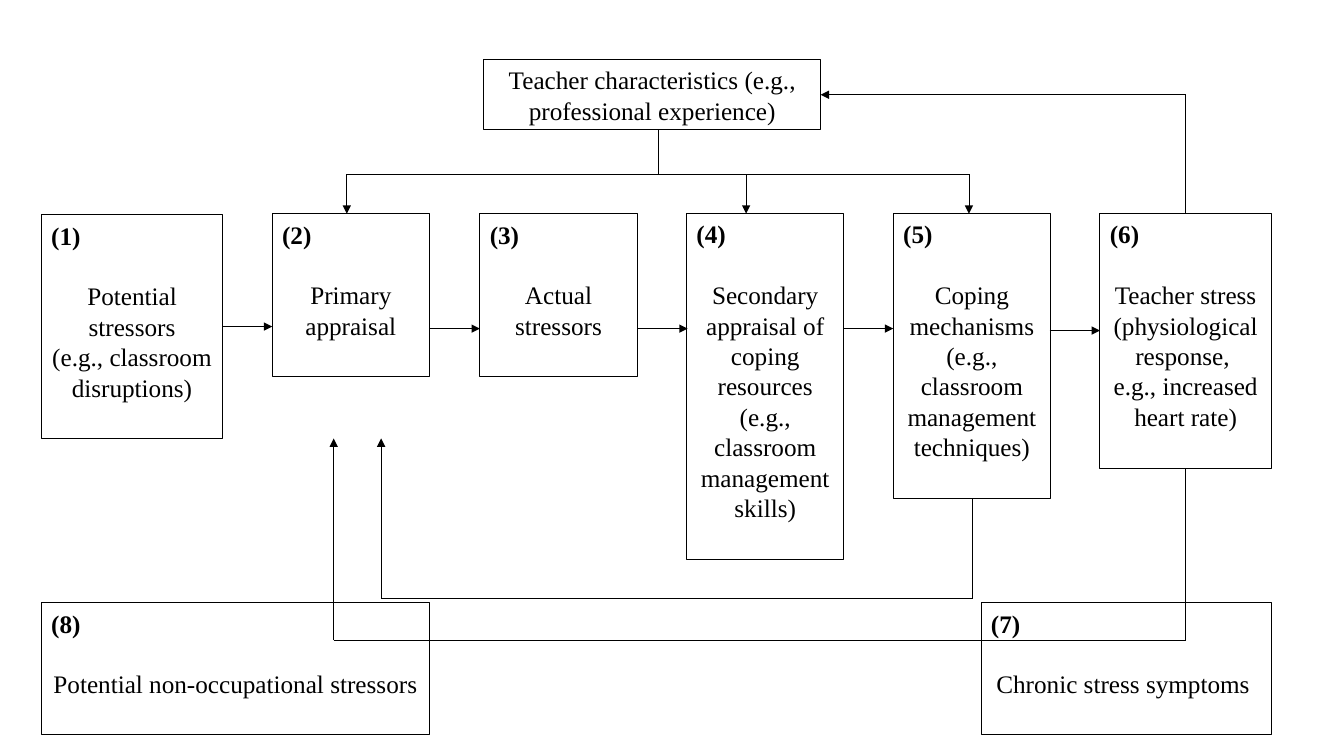
from dataclasses import dataclass
from typing import NamedTuple, Optional

from lxml import etree
from pptx import Presentation
from pptx import util as u
from pptx.dml.color import RGBColor
from pptx.enum import shapes, text
from pptx.oxml.ns import qn

TOP, BOTTOM, LEFT, RIGHT = 0, 2, 1, 3


@dataclass(frozen=True)
class Theme:
    font: str = "Times New Roman"
    ink: RGBColor = RGBColor(0, 0, 0)
    size: u.Pt = u.Pt(18)
    line_height: u.Pt = u.Pt(21.7)
    border: u.Pt = u.Pt(0.75)
    rule: u.Pt = u.Pt(0.5)


class Box(NamedTuple):
    key: str
    x: float
    y: float
    w: float
    h: float
    lines: tuple[str, ...]


class Joint(NamedTuple):
    key: str
    side: int


class Line(NamedTuple):
    x1: float
    y1: float
    x2: float
    y2: float
    arrow: bool = False
    begin: Optional[Joint] = None
    end: Optional[Joint] = None


THEME = Theme()
ROW_Y, STEP_W = 2.12, 1.56
LOWER_Y, LOWER_H = 5.98, 1.31
BUS_Y, COPING_Y, STRESS_Y = 1.73, 5.94, 6.35
COPING_X, STRESS_X, TRAIT_Y = 9.64, 11.76, 0.94
STRESS_LOOP_X, COPING_LOOP_X, LOOP_TOP = 3.31, 3.78, 4.35
BRANCHES = (3.44, 7.4, 9.61)

BOXES = (
    Box("traits", 4.8, 0.59, 3.34, 0.7,
        ("Teacher characteristics (e.g., professional experience)",)),
    Box("(1)", 0.41, 2.13, 1.8, 2.22,
        ("Potential stressors", "(e.g., classroom disruptions)")),
    Box("(2)", 2.7, ROW_Y, STEP_W, 1.62, ("Primary appraisal",)),
    Box("(3)", 4.76, ROW_Y, STEP_W, 1.62, ("Actual stressors",)),
    Box("(4)", 6.81, ROW_Y, STEP_W, 3.43,
        ("Secondary appraisal of coping resources "
         "(e.g., classroom management skills)",)),
    Box("(5)", 8.86, ROW_Y, STEP_W, 2.83,
        ("Coping", "mechanisms (e.g., classroom management techniques)")),
    Box("(6)", 10.91, ROW_Y, 1.7, 2.53,
        ("Teacher stress", "(physiological response, ",
         "e.g., increased heart rate)")),
    Box("(8)", 0.41, LOWER_Y, 3.85, LOWER_H,
        ("Potential non-occupational stressors",)),
    Box("(7)", 9.73, LOWER_Y, 2.88, LOWER_H, ("Chronic stress symptoms ",)),
)

LINES = (
    # Steps from left to right
    Line(2.21, 3.24, 2.7, 3.24, True, begin=Joint("(1)", RIGHT)),
    Line(4.26, 3.26, 4.76, 3.26, True),
    Line(6.33, 3.26, 6.82, 3.26, True),
    Line(8.37, 3.26, 8.86, 3.26, True),
    Line(10.41, 3.28, 10.91, 3.28, True),
    # Teacher characteristics to the appraisals and coping
    Line(6.53, 1.29, 6.53, BUS_Y),
    Line(BRANCHES[0], BUS_Y, BRANCHES[-1], BUS_Y),
    *(Line(x, BUS_Y, x, ROW_Y, True) for x in BRANCHES),
    # Coping back to primary appraisal
    Line(COPING_X, 4.95, COPING_X, COPING_Y, begin=Joint("(5)", BOTTOM)),
    Line(COPING_LOOP_X, COPING_Y, COPING_X, COPING_Y),
    Line(COPING_LOOP_X, COPING_Y, COPING_LOOP_X, LOOP_TOP, True),
    # Stress back to primary appraisal
    Line(STRESS_X, 4.65, STRESS_X, STRESS_Y, begin=Joint("(6)", BOTTOM)),
    Line(STRESS_LOOP_X, STRESS_Y, STRESS_X, STRESS_Y),
    Line(STRESS_LOOP_X, STRESS_Y, STRESS_LOOP_X, LOOP_TOP, True),
    # Stress back to teacher characteristics
    Line(STRESS_X, ROW_Y, STRESS_X, TRAIT_Y, begin=Joint("(6)", TOP)),
    Line(STRESS_X, TRAIT_Y, 8.14, TRAIT_Y, True, end=Joint("traits", RIGHT)),
)


def draw_box(s, box: Box):
    """Draw a box; a key in brackets becomes its bold number."""
    sp = s.shapes.add_shape(shapes.MSO_SHAPE.RECTANGLE,
                            *map(u.Inches, (box.x, box.y, box.w, box.h)))
    sp.shadow.inherit = False
    sp.fill.background()
    sp.line.color.rgb = THEME.ink
    sp.line.width = THEME.border
    tf = sp.text_frame
    tf.word_wrap = True
    tf.vertical_anchor = text.MSO_ANCHOR.TOP
    numbered = box.key.startswith("(")
    lines = (box.key, *box.lines) if numbered else box.lines
    for i, line in enumerate(lines):
        p = tf.paragraphs[0] if i == 0 else tf.add_paragraph()
        is_number = numbered and i == 0
        p.text = line
        p.alignment = text.PP_ALIGN.LEFT if is_number else text.PP_ALIGN.CENTER
        p.line_spacing = THEME.line_height
        if is_number:
            p.space_after = THEME.line_height
        p.font.name = THEME.font
        p.font.size = THEME.size
        p.font.bold = is_number
        p.font.color.rgb = THEME.ink
    return sp


def draw_line(s, line: Line, boxes: dict) -> None:
    cx = s.shapes.add_connector(
        shapes.MSO_CONNECTOR.STRAIGHT,
        *map(u.Inches, (line.x1, line.y1, line.x2, line.y2)))
    if line.begin:
        cx.begin_connect(boxes[line.begin.key], line.begin.side)
    if line.end:
        cx.end_connect(boxes[line.end.key], line.end.side)
    cx.line.color.rgb = THEME.ink
    cx.line.width = THEME.rule
    if line.arrow:
        etree.SubElement(cx.line._get_or_add_ln(), qn("a:tailEnd"),
                         type="triangle")
    etree.SubElement(cx._element.spPr, qn("a:effectLst"))


def main() -> None:
    prs = Presentation()
    prs.slide_width, prs.slide_height = u.Inches(13.33), u.Inches(7.5)
    s = prs.slides.add_slide(prs.slide_layouts[6])
    boxes = {box.key: draw_box(s, box) for box in BOXES}
    for line in LINES:
        draw_line(s, line, boxes)
    prs.save("out.pptx")


if __name__ == "__main__":
    main()
